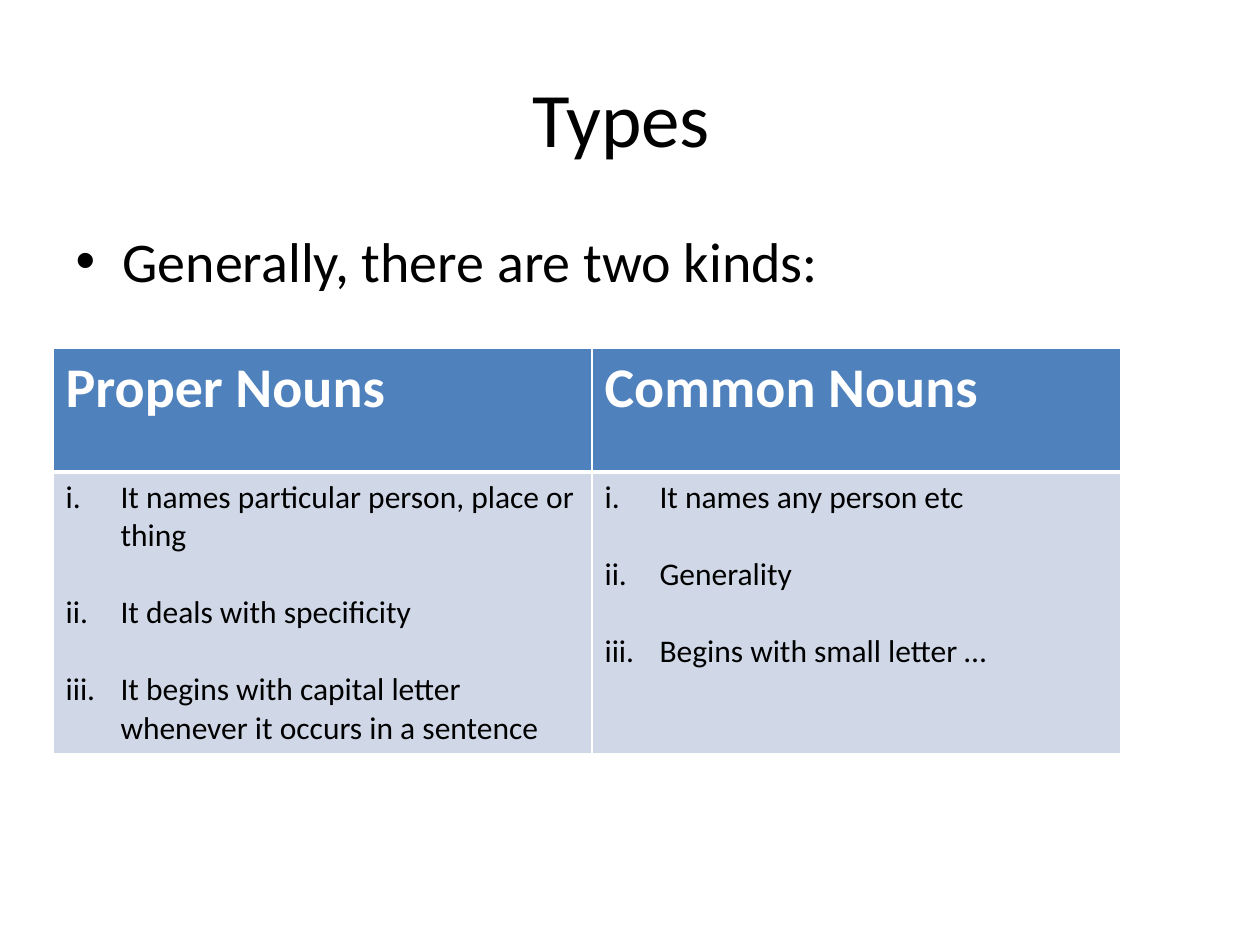
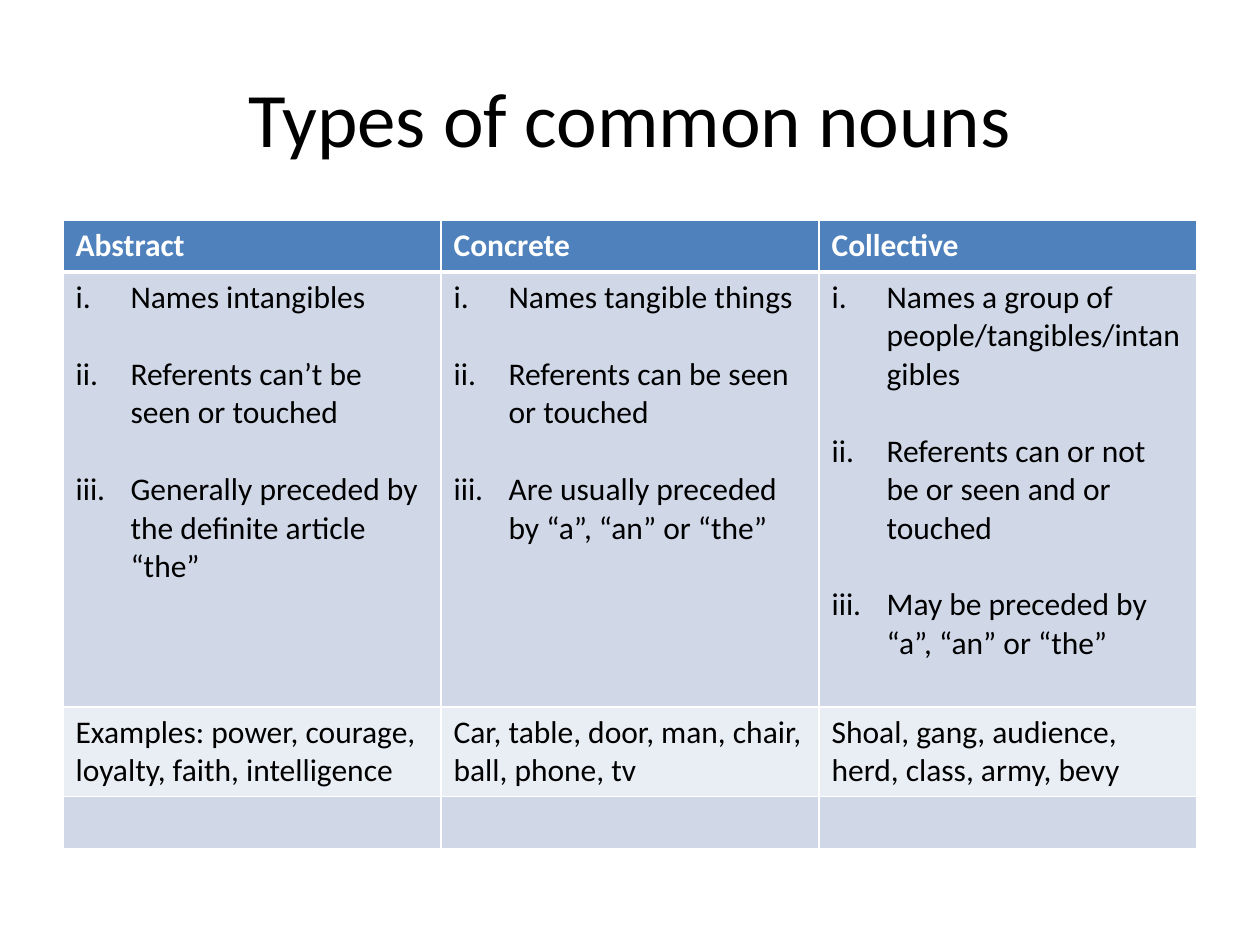
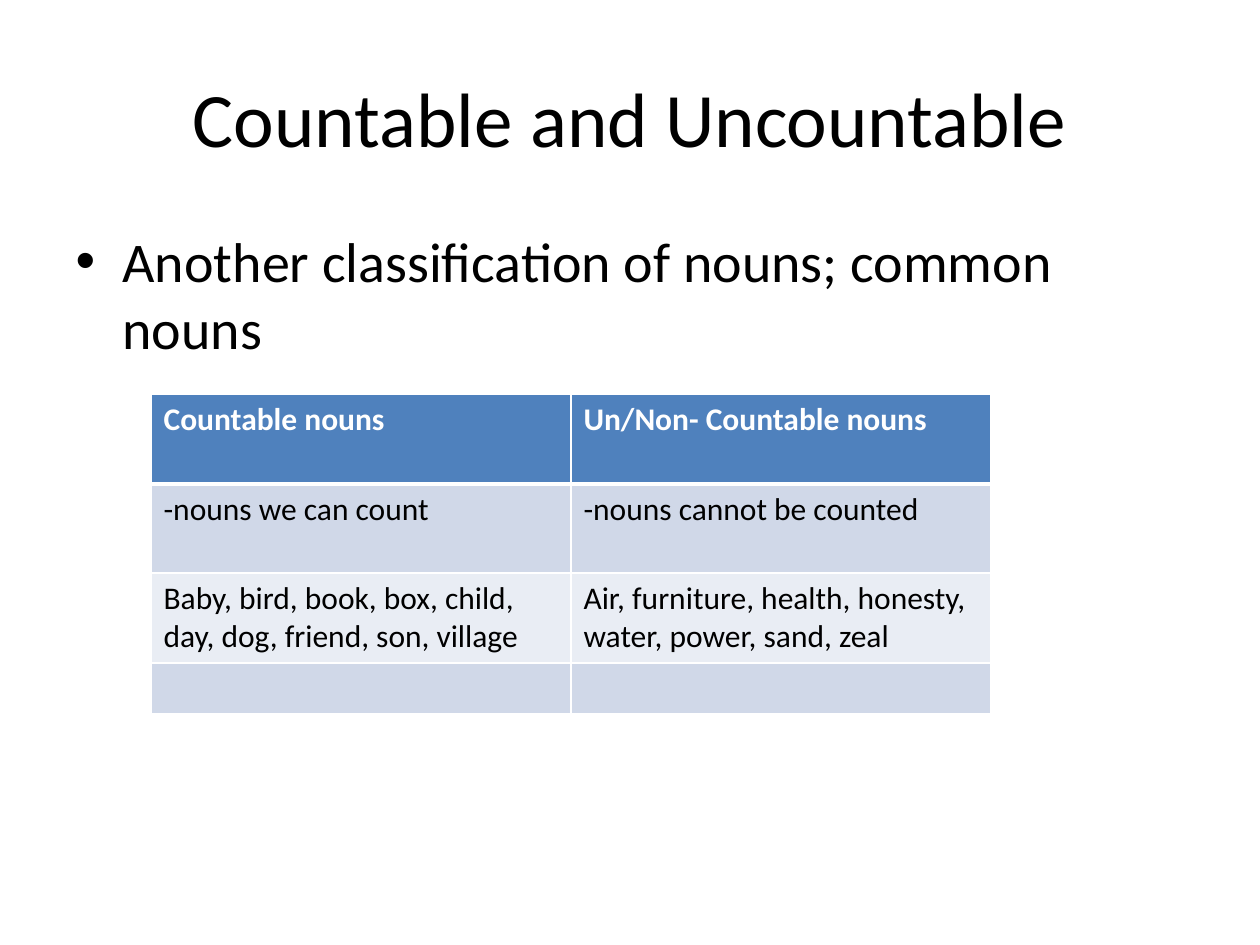
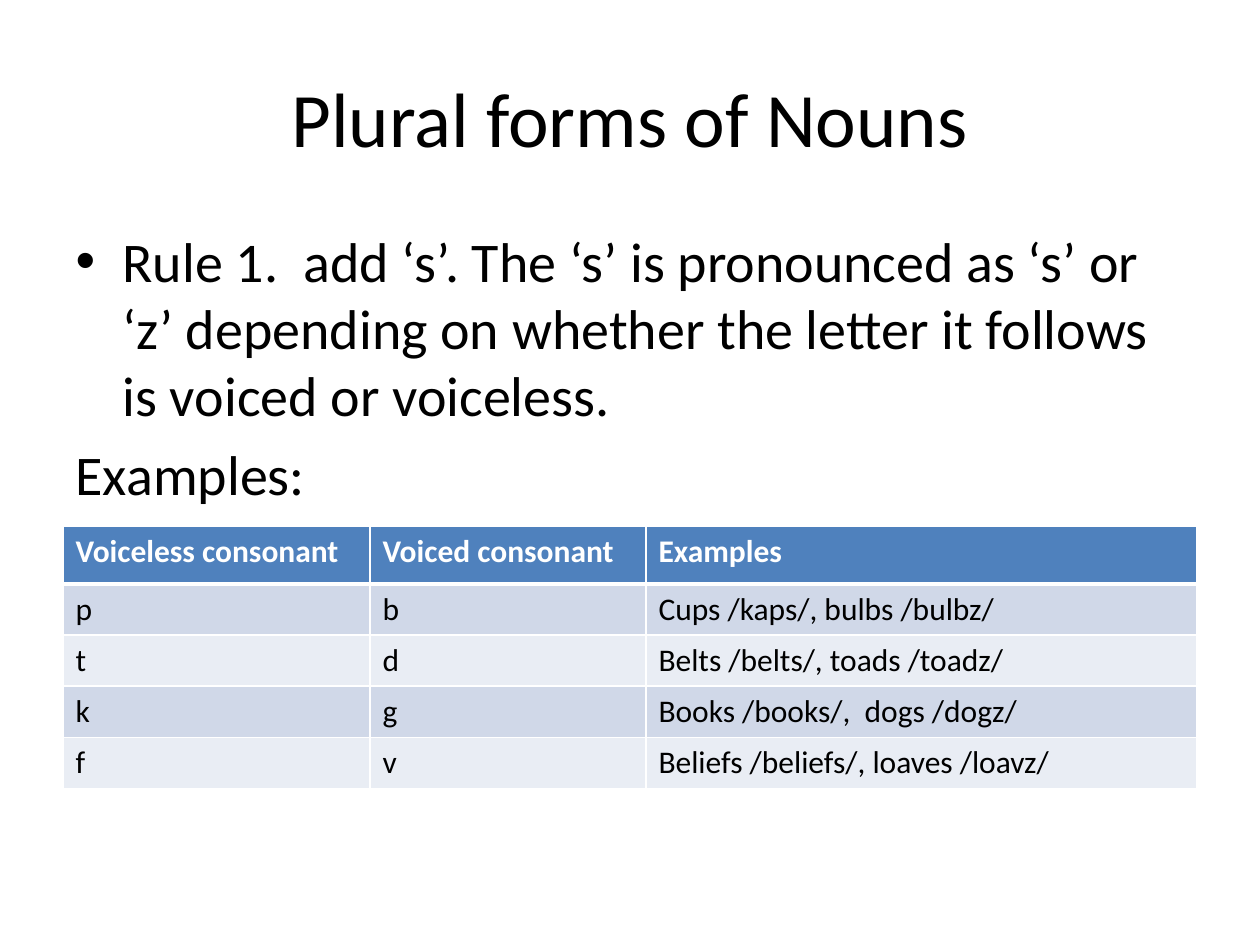
from lxml.etree import SubElement
from pptx import Presentation
from pptx.dml.color import RGBColor
from pptx.enum.text import MSO_ANCHOR, PP_ALIGN
from pptx.oxml.ns import qn
from pptx.util import Emu, Pt


def px(n):
    return Emu(round(n * 914400 / 126))


def hue(code):
    return RGBColor.from_string(code)


class Deck:
    face = "Calibri"
    ink = "000000"
    white = "FFFFFF"
    head = "4F81BD"
    bands = ("D0D8E8", "E9EDF4")

    def __init__(self):
        self.show = Presentation()
        self.show.slide_width = px(1260)
        self.show.slide_height = px(945)
        self.slide = None

    def place(self, shape, left, top, width, height):
        shape.left, shape.top = px(left), px(top)
        shape.width, shape.height = px(width), px(height)

    def style(self, para, size, color, bold=False):
        for run in para.runs:
            font = run.font
            font.name, font.size, font.bold = self.face, Pt(size), bold
            font.color.rgb = hue(color)

    def mark(self, para, tag, indent, **attrs):
        props = para._p.get_or_add_pPr()
        props.set("marL", str(px(indent)))
        props.set("indent", str(-px(indent)))
        SubElement(props, qn(tag), **attrs)

    def page(self, title, layout=1):
        self.slide = self.show.slides.add_slide(self.show.slide_layouts[layout])
        shape = self.slide.shapes.title
        self.place(shape, 63, 38, 1134, 158)
        frame = shape.text_frame
        frame.text = title
        frame.vertical_anchor = MSO_ANCHOR.MIDDLE
        para = frame.paragraphs[0]
        para.alignment = PP_ALIGN.CENTER
        self.style(para, 44, self.ink)

    def body(self, point, note=None):
        shape = self.slide.placeholders[1]
        self.place(shape, 63, 220, 1134, 624)
        frame = shape.text_frame
        frame.text = point
        para = frame.paragraphs[0]
        para.space_before = Pt(0)
        self.mark(para, "a:buChar", 47, char="•")
        self.style(para, 32, self.ink)
        if note:
            para = frame.add_paragraph()
            para.text = note
            para.space_before = Pt(6.4)
            self.mark(para, "a:buNone", 0)
            self.style(para, 32, self.ink)

    def edges(self, cell, row):
        props = cell._tc.get_or_add_tcPr()
        upper = 3 if row == 1 else 1
        lower = 3 if row == 0 else 1
        for side, width in zip("LRTB", (1, 1, upper, lower)):
            line = SubElement(props, qn("a:ln" + side), w=str(Pt(width)))
            fill = SubElement(line, qn("a:solidFill"))
            SubElement(fill, qn("a:srgbClr"), val=self.white)

    def cell(self, cell, row, text, size):
        self.edges(cell, row)
        cell.fill.solid()
        top = row == 0
        cell.fill.fore_color.rgb = hue(self.head if top else self.bands[(row - 1) % 2])
        listed = isinstance(text, list)
        frame = cell.text_frame
        frame.text = "\n".join(text) if listed else text
        for spot, para in enumerate(frame.paragraphs):
            if listed:
                para.space_before = Pt(22 if spot else 0)
                self.mark(para, "a:buAutoNum", 55, type="romanLcPeriod")
            self.style(para, size if top else 18, self.white if top else self.ink, top)

    def table(self, left, top, cols, rows, data, size=18):
        shape = self.slide.shapes.add_table(
            len(rows), len(cols), px(left), px(top), px(sum(cols)), px(sum(rows)))
        grid = shape.table
        for col, width in zip(grid.columns, cols):
            col.width = px(width)
        for row, height in zip(grid.rows, rows):
            row.height = px(height)
        for r, line in enumerate(data):
            for c, text in enumerate(line):
                self.cell(grid.cell(r, c), r, text, size)


def main():
    deck = Deck()

    deck.page("Types ")
    deck.body("Generally, there are two kinds:")
    deck.table(53, 348, [539, 529], [124, 281], [
        ["Proper Nouns", "Common Nouns"],
        [["It names particular person, place or thing",
          "It deals with specificity",
          "It begins with capital letter whenever it occurs in a sentence"],
         ["It names any person etc", "Generality", "Begins with small letter …"]],
    ], 32)

    deck.page("Types of common nouns", 5)
    deck.table(63, 220, [378] * 3, [52, 435, 89, 52], [
        ["Abstract", "Concrete", "Collective"],
        [["Names intangibles",
          "Referents can’t be seen or touched",
          "Generally preceded by the definite article “the”"],
         ["Names tangible things",
          "Referents can be seen or touched",
          "Are usually preceded by “a”, “an” or “the”"],
         ["Names a group of people/tangibles/intangibles",
          "Referents can or not be or seen and or touched",
          "May be preceded by “a”, “an” or “the”"]],
        ["Examples: power, courage, loyalty, faith, intelligence",
         "Car, table, door, man, chair, ball, phone, tv",
         "Shoal, gang, audience, herd, class, army, bevy"],
        [""] * 3,
    ])

    deck.page("Countable and Uncountable")
    deck.body("Another classification of nouns; common nouns")
    deck.table(151, 394, [420] * 2, [90, 89, 90, 51], [
        ["Countable nouns", "Un/Non- Countable nouns"],
        ["-nouns we can count", "-nouns cannot be counted"],
        ["Baby, bird, book, box, child, day, dog, friend, son, village",
         "Air, furniture, health, honesty, water, power, sand, zeal"],
        [""] * 2,
    ])

    deck.page("Plural forms of Nouns")
    deck.body("Rule 1.  add ‘s’. The ‘s’ is pronounced as ‘s’ or ‘z’ depending on "
              "whether the letter it follows is voiced or voiceless.", "Examples:")
    deck.table(63, 526, [307, 276, 551], [58] + [51] * 4, [
        ["Voiceless consonant", "Voiced consonant", "Examples"],
        ["p", "b", "Cups /kaps/, bulbs /bulbz/"],
        ["t", "d", "Belts /belts/, toads /toadz/"],
        ["k", "g", "Books /books/,  dogs /dogz/"],
        ["f", "v", "Beliefs /beliefs/, loaves /loavz/"],
    ])

    deck.show.save("out.pptx")


if __name__ == "__main__":
    main()
